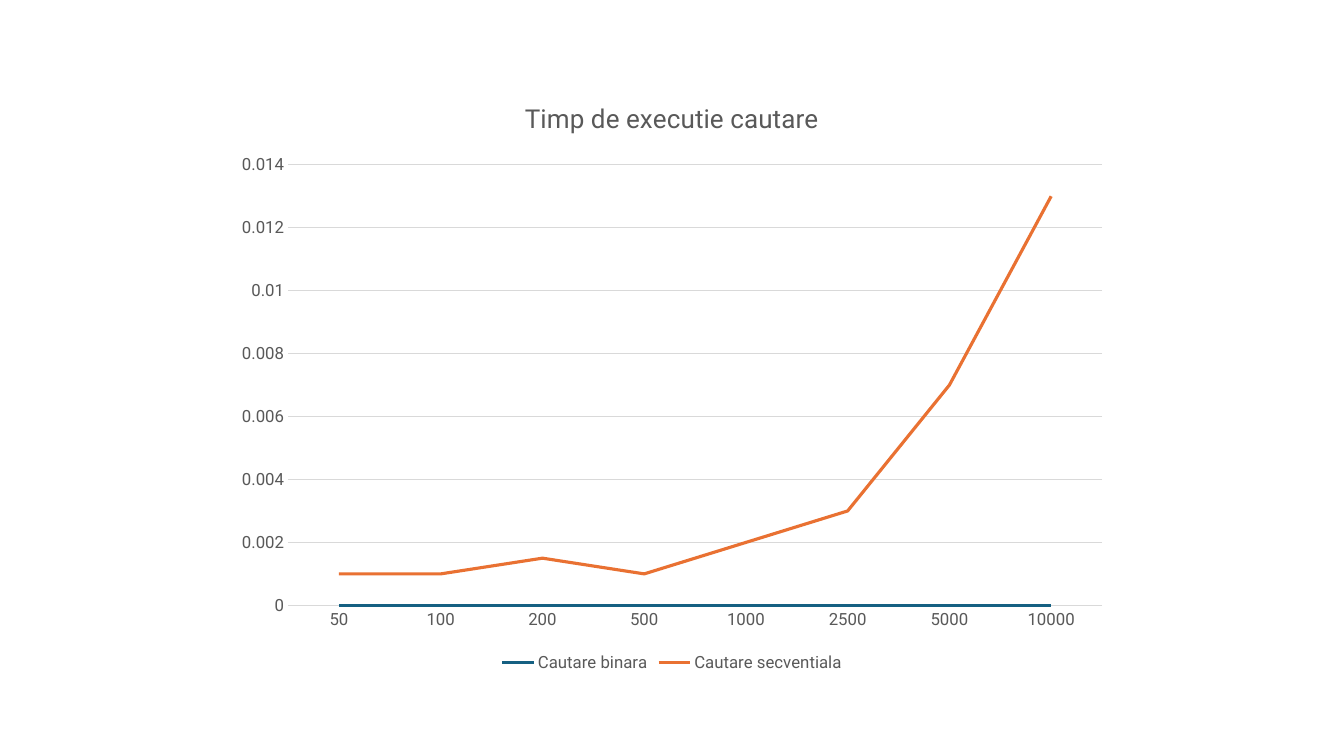
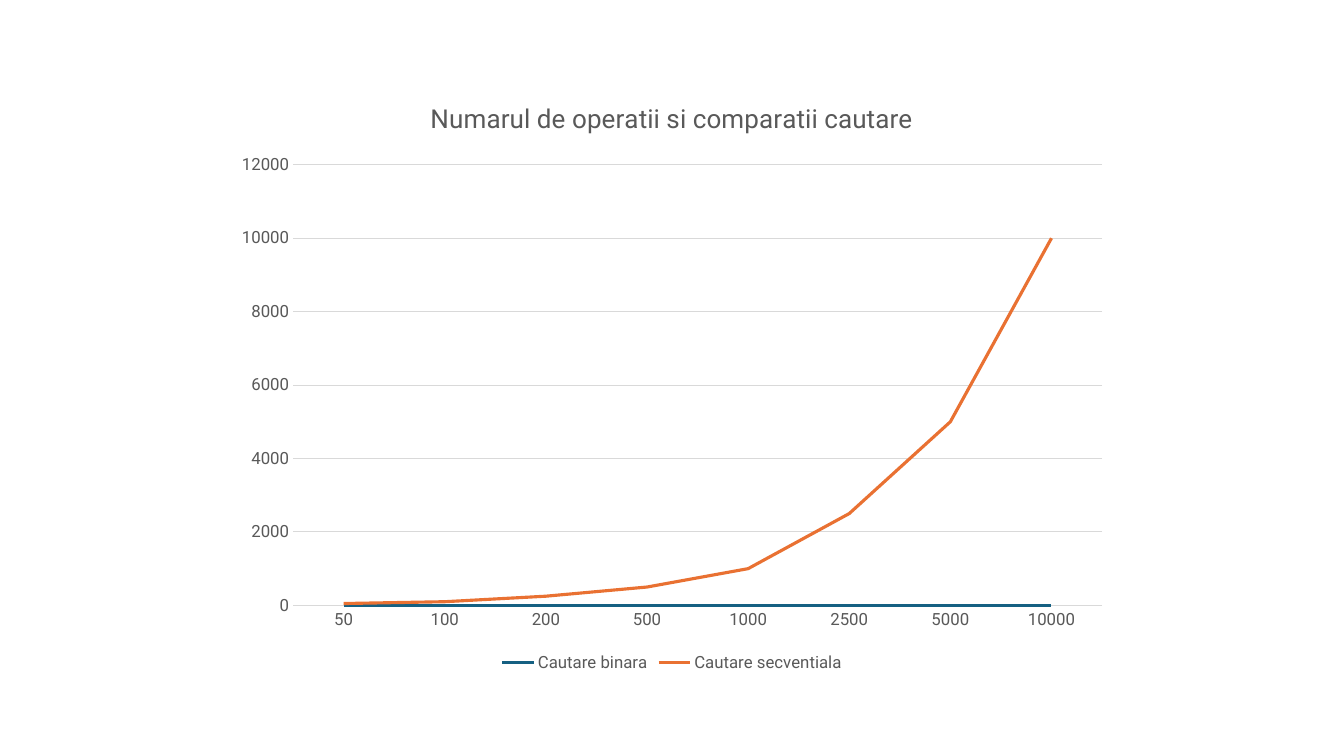
"""Build two slides of line charts comparing binary and sequential search."""
from pptx import Presentation
from pptx.chart.data import CategoryChartData
from pptx.dml.color import RGBColor
from pptx.enum.chart import XL_CHART_TYPE as ChartType
from pptx.enum.chart import XL_LEGEND_POSITION as LegendPosition
from pptx.enum.chart import XL_TICK_MARK as TickMark
from pptx.util import Inches, Pt

FONT = "Roboto"
COLORS = {"text": "595959", "grid": "D9D9D9", "background": "FFFFFF"}
SERIES_COLORS = {"Cautare binara": "156082", "Cautare secventiala": "E97132"}
SIZES = ["50", "100", "200", "500", "1000", "2500", "5000", "10000"]
CHARTS = [
    ("Timp de executie cautare", "General", {
        "Cautare binara": [0] * len(SIZES),
        "Cautare secventiala": [0.001, 0.001, 0.0015, 0.001,
                                0.002, 0.003, 0.007, 0.013],
    }),
    ("Numarul de operatii si comparatii cautare", "General", {
        "Cautare binara": [0] * len(SIZES),
        "Cautare secventiala": [50, 100, 250, 500, 1000, 2500, 5000, 10000],
    }),
]
WIDTH_SHARE, HEIGHT_SHARE = 2 / 3, 0.79


def style_font(font, size):
    font.name = FONT
    font.size = Pt(size)
    font.bold = False
    font.color.rgb = RGBColor.from_string(COLORS["text"])


def style_line(line, color, width):
    line.color.rgb = RGBColor.from_string(color)
    line.width = Pt(width)


def style_axes(chart):
    for axis in (chart.category_axis, chart.value_axis):
        axis.major_tick_mark = axis.minor_tick_mark = TickMark.NONE
        style_font(axis.tick_labels.font, 12)
    style_line(chart.category_axis.format.line, COLORS["grid"], 0.75)
    chart.value_axis.format.line.fill.background()
    style_line(chart.value_axis.major_gridlines.format.line, COLORS["grid"], 0.75)


def add_line_chart(deck, page, title, number_format, series_values):
    data = CategoryChartData(number_format=number_format)
    data.categories = SIZES
    for name, values in series_values.items():
        data.add_series(name, values)

    width = int(deck.slide_width * WIDTH_SHARE)
    height = int(deck.slide_height * HEIGHT_SHARE)
    left = (deck.slide_width - width) // 2
    top = (deck.slide_height - height) // 2
    chart = page.shapes.add_chart(
        ChartType.LINE, left, top, width, height, data).chart
    chart.font.name = FONT
    chart.font.size = Pt(10)

    chart.has_title = True
    chart.chart_title.include_in_layout = False
    para = chart.chart_title.text_frame.paragraphs[0]
    para.text = title
    style_font(para.font, 18.6)

    chart.has_legend = True
    chart.legend.position = LegendPosition.BOTTOM
    chart.legend.include_in_layout = False
    style_font(chart.legend.font, 12)

    style_axes(chart)
    chart.plots[0].vary_by_categories = False
    for series in chart.plots[0].series:
        series.smooth = False
        style_line(series.format.line, SERIES_COLORS[series.name], 2.25)


def main():
    deck = Presentation()
    deck.slide_width, deck.slide_height = Inches(13.33), Inches(7.5)
    background = deck.slide_master.background.fill
    background.solid()
    background.fore_color.rgb = RGBColor.from_string(COLORS["background"])
    blank = deck.slide_layouts.get_by_name("Blank")
    for title, number_format, series_values in CHARTS:
        page = deck.slides.add_slide(blank)
        add_line_chart(deck, page, title, number_format, series_values)
    deck.save("out.pptx")


if __name__ == "__main__":
    main()
